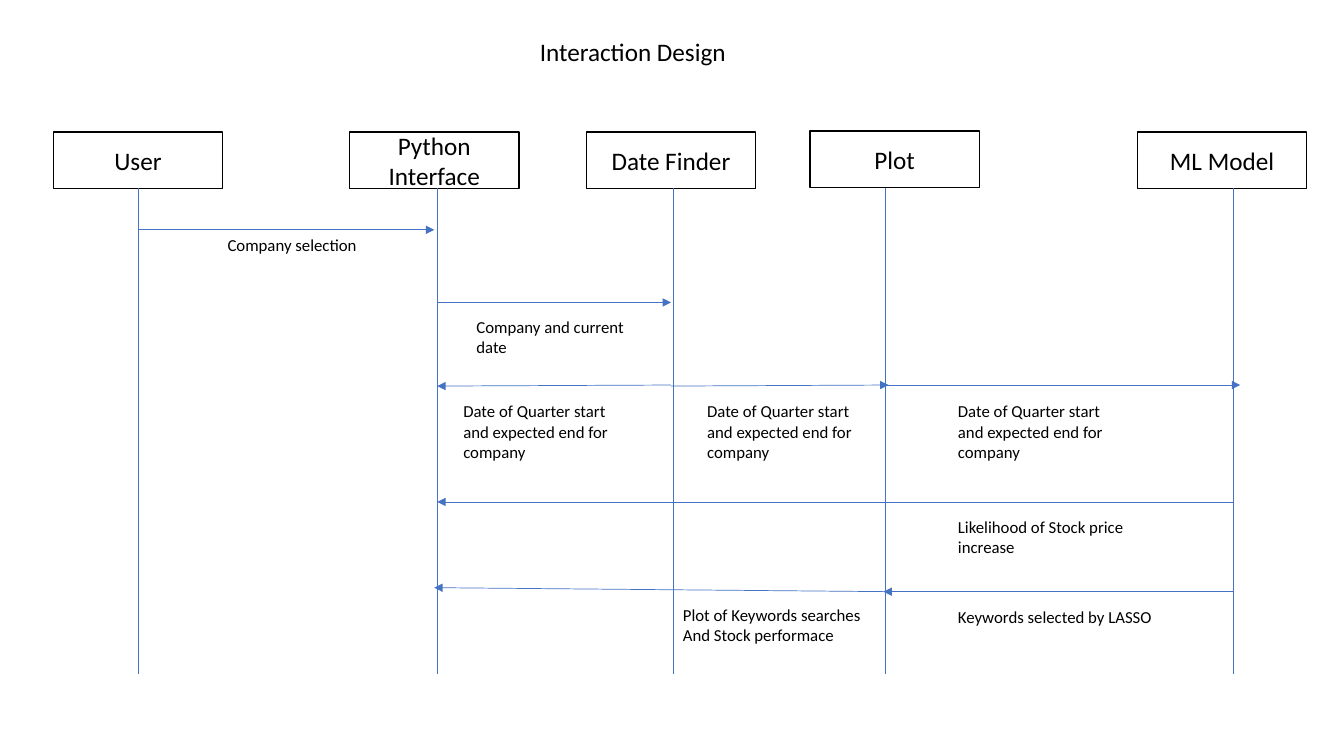
"""Build the Interaction Design sequence diagram slide."""
import pptx
import pptx.dml.color
import pptx.enum.shapes
import pptx.enum.text
import pptx.oxml.ns
import pptx.util
from lxml import etree

BLACK = pptx.dml.color.RGBColor(0x00, 0x00, 0x00)
WHITE = pptx.dml.color.RGBColor(0xFF, 0xFF, 0xFF)
BLUE = pptx.dml.color.RGBColor(0x44, 0x72, 0xC4)
Inches = pptx.util.Inches
Pt = pptx.util.Pt
ALIGN = pptx.enum.text.PP_ALIGN
ANCHOR = pptx.enum.text.MSO_ANCHOR

prs = pptx.Presentation()
prs.slide_width, prs.slide_height = Inches(13.34), Inches(7.5)
s = prs.slides.add_slide(prs.slide_layouts[6])


def write(sp, text, size=12, align=ALIGN.LEFT, anchor=ANCHOR.TOP):
    tf = sp.text_frame
    tf.word_wrap = True
    tf.vertical_anchor = anchor
    for i, line in enumerate(text.split("\n")):
        p = tf.paragraphs[0] if i == 0 else tf.add_paragraph()
        p.alignment = align
        r = p.add_run()
        r.text = line
        r.font.name, r.font.size = "Calibri", Pt(size)
        r.font.color.rgb = BLACK


def draw_line(x1, y1, x2, y2, arrow=False):
    c = s.shapes.add_connector(pptx.enum.shapes.MSO_CONNECTOR.STRAIGHT,
                               Inches(x1), Inches(y1), Inches(x2), Inches(y2))
    c.line.color.rgb = BLUE
    c.line.width = Pt(0.5)
    if arrow:
        etree.SubElement(c.line._get_or_add_ln(), pptx.oxml.ns.qn("a:tailEnd"), type="triangle")
    etree.SubElement(c._element.spPr, pptx.oxml.ns.qn("a:effectLst"))
    return c


title = s.shapes.add_textbox(Inches(5.26), Inches(0.31), Inches(2.06), Inches(0.4))
write(title, "Interaction Design", size=18)

BOX_W, BOX_H = 1.68, 0.56
LIFE_TOP, LIFE_END = 1.87, 6.69
USER, PYTHON, FINDER, PLOT, MODEL = 1.37, 4.34, 6.68, 8.79, 12.24

participants = [
    ("User", 0.53, 1.31, USER),
    ("Python Interface", 3.47, 1.31, PYTHON),
    ("Date Finder", 5.82, 1.31, FINDER),
    ("Plot", 8.04, 1.3, PLOT),
    ("ML Model", 11.29, 1.31, MODEL),
]
for name, left, top, life in participants:
    sp = s.shapes.add_shape(pptx.enum.shapes.MSO_SHAPE.RECTANGLE,
                            Inches(left), Inches(top), Inches(BOX_W), Inches(BOX_H))
    sp.shadow.inherit = False
    sp.fill.solid()
    sp.fill.fore_color.rgb = WHITE
    sp.line.color.rgb = BLACK
    sp.line.width = Pt(1)
    write(sp, name, size=18, align=ALIGN.CENTER, anchor=ANCHOR.MIDDLE)
    lifeline = draw_line(life, LIFE_TOP, life, LIFE_END)
    if abs(left + BOX_W / 2 - life) < 0.01:
        lifeline.begin_connect(sp, 2)

arrows = [
    (USER, 2.28, 4.31, 2.28),
    (PYTHON, 3, 6.66, 3),
    (6.66, 3.82, PYTHON, 3.83),
    (6.66, 3.83, 8.82, 3.82),
    (PLOT, 3.82, 12.31, 3.82),
    (MODEL, 4.98, PYTHON, 4.98),
    (MODEL, 5.87, 8.77, 5.87),
    (8.82, 5.87, 4.31, 5.83),
]
for ends in arrows:
    draw_line(*ends, arrow=True)

QUARTER = "Date of Quarter start and expected end for company"
labels = [
    ("Company selection", 2.16, 2.28, 1.88, 1),
    ("Company and current date", 4.63, 3.09, 1.88, 2),
    (QUARTER, 4.5, 3.93, 1.88, 3),
    (QUARTER, 6.92, 3.93, 1.88, 3),
    (QUARTER, 9.41, 3.93, 1.88, 3),
    ("Likelihood of Stock price increase", 9.41, 5.08, 2.35, 2),
    ("Keywords selected by LASSO", 9.41, 5.97, 2.35, 1),
    ("Plot of Keywords searches\nAnd Stock performace", 6.68, 5.95, 2, 2),
]
for text, left, top, width, rows in labels:
    tb = s.shapes.add_textbox(Inches(left), Inches(top), Inches(width), Inches(0.1 + 0.2 * rows))
    write(tb, text)

prs.save("out.pptx")
